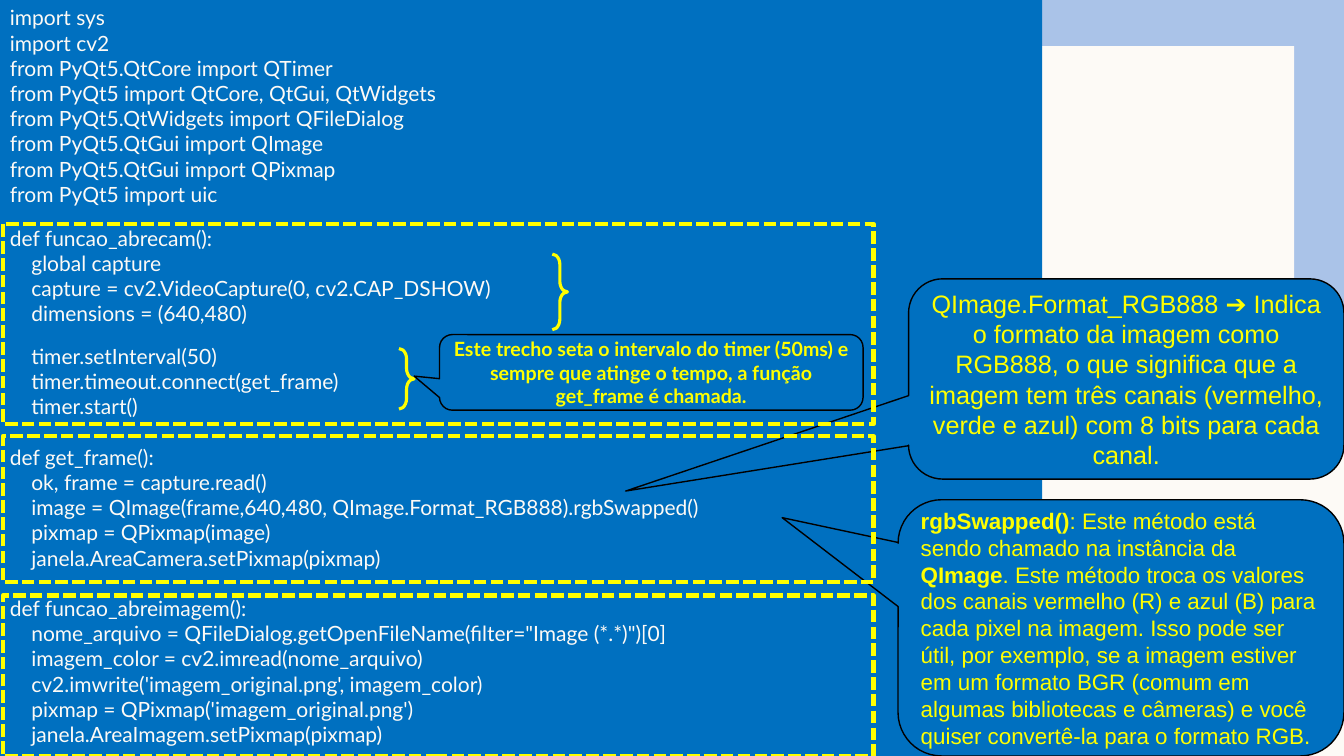
from dataclasses import dataclass, field
from pptx import Presentation
from pptx.dml.color import RGBColor
from pptx.enum.dml import MSO_LINE_DASH_STYLE as Dash
from pptx.enum.shapes import MSO_SHAPE as Kind
from pptx.enum.text import MSO_ANCHOR as Anchor, PP_ALIGN as Align
from pptx.shapes.autoshape import Shape
from pptx.slide import Slide
from pptx.util import Pt

BLUE, CREAM, PALE = "0070C0", "FDFAF6", "AAC3E8"
GOLD, BLACK = "FFFF00", "000000"


@dataclass(frozen=True)
class Line:
    color: str
    width: float
    dash: Dash | None = None


@dataclass(frozen=True)
class Form:
    kind: Kind
    left: float
    top: float
    width: float
    height: float
    fill: str | None = None
    line: Line | None = None
    bends: tuple[float, ...] = ()


@dataclass(frozen=True)
class Style:
    face: str
    size: float
    color: str
    align: Align = Align.LEFT
    anchor: Anchor = Anchor.MIDDLE


@dataclass(frozen=True)
class Block:
    text: str
    gap: float = 0


@dataclass(frozen=True)
class Panel:
    form: Form
    style: Style
    blocks: list[Block] = field(default_factory=list)


def paint(code: str) -> RGBColor:
    return RGBColor.from_string(code)


def draw(slide: Slide, form: Form) -> Shape:
    shape = slide.shapes.add_shape(
        form.kind, Pt(form.left), Pt(form.top), Pt(form.width), Pt(form.height))
    shape.shadow.inherit = False
    for i, bend in enumerate(form.bends):
        shape.adjustments[i] = bend
    if form.fill:
        shape.fill.solid()
        shape.fill.fore_color.rgb = paint(form.fill)
    else:
        shape.fill.background()
    if form.line:
        shape.line.color.rgb = paint(form.line.color)
        shape.line.width = Pt(form.line.width)
        if form.line.dash:
            shape.line.dash_style = form.line.dash
    else:
        shape.line.fill.background()
    return shape


def write(shape: Shape, style: Style, blocks: list[Block]) -> None:
    frame = shape.text_frame
    frame.word_wrap = True
    frame.vertical_anchor = style.anchor
    rows = [(text, block.gap if i == 0 else 0)
            for block in blocks for i, text in enumerate(block.text.split("\n"))]
    for n, (text, gap) in enumerate(rows):
        para = frame.add_paragraph() if n else frame.paragraphs[0]
        para.alignment = style.align
        if gap:
            para.space_before = Pt(gap)
        for i, piece in enumerate(text.split("**")):
            if not piece:
                continue
            run = para.add_run()
            run.text = piece
            looks = {"name": style.face, "size": Pt(style.size), "bold": i % 2 == 1}
            for name, value in looks.items():
                setattr(run.font, name, value)
            run.font.color.rgb = paint(style.color)


CODE = [
    Block("""import sys
import cv2
from PyQt5.QtCore import QTimer
from PyQt5 import QtCore, QtGui, QtWidgets
from PyQt5.QtWidgets import QFileDialog
from PyQt5.QtGui import QImage
from PyQt5.QtGui import QPixmap
from PyQt5 import uic"""),
    Block("""def funcao_abrecam():
    global capture
    capture = cv2.VideoCapture(0, cv2.CAP_DSHOW)
    dimensions = (640,480)""", 13.2),
    Block("""    timer.setInterval(50)
    timer.timeout.connect(get_frame)
    timer.start()""", 12.6),
    Block("""def get_frame():
    ok, frame = capture.read()
    image = QImage(frame,640,480, QImage.Format_RGB888).rgbSwapped()
    pixmap = QPixmap(image)
    janela.AreaCamera.setPixmap(pixmap)""", 18),
    Block("""def funcao_abreimagem():
    nome_arquivo = QFileDialog.getOpenFileName(filter="Image (*.*)")[0]
    imagem_color = cv2.imread(nome_arquivo)
    cv2.imwrite('imagem_original.png', imagem_color)
    pixmap = QPixmap('imagem_original.png')
    janela.AreaImagem.setPixmap(pixmap)""", 18),
]
SWAP = ("**rgbSwapped()**: Este método está sendo chamado na instância da **QImage**. "
        "Este método troca os valores dos canais vermelho (R) e azul (B) para cada pixel "
        "na imagem. Isso pode ser útil, por exemplo, se a imagem estiver em um formato BGR "
        "(comum em algumas bibliotecas e câmeras) e você quiser convertê-la para o formato RGB.")
DEPTH = ("QImage.Format_RGB888 ➔ Indica o formato da imagem como RGB888, o que significa que "
         "a imagem tem três canais (vermelho, verde e azul) com 8 bits para cada canal.")
TIMER = ("**Este trecho seta o intervalo do timer (50ms) e sempre que atinge o tempo, "
         "a função get_frame é chamada.**")

EDGE = Line(BLACK, 1)
DASHED = Line(GOLD, 3, Dash.SQUARE_DOT)
CURVE = Line(GOLD, 2.25)
BUBBLE = Kind.ROUNDED_RECTANGULAR_CALLOUT

ITEMS: list[Form | Panel] = [
    Form(Kind.RECTANGLE, -2, 0, 962, 273, PALE),
    Form(Kind.RECTANGLE, 34.5, 33, 890, 474.5, CREAM),
    Panel(Form(Kind.RECTANGLE, 0, 0, 744.5, 552, BLUE),
          Style("Lato", 15, CREAM, anchor=Anchor.TOP), CODE),
    *(Form(Kind.RIGHT_BRACE, left, top, 10.8, height, line=CURVE, bends=(0.69, 0.5))
      for left, top, height in ((394.5, 181.5, 54), (285, 249, 43.2))),
    Panel(Form(BUBBLE, 641.5, 357, 318.5, 183, BLUE, EDGE, (-0.76, -0.43, 0.17)),
          Style("Arial", 16, GOLD), [Block(SWAP)]),
    Panel(Form(BUBBLE, 649, 199.2, 311, 143, BLUE, EDGE, (-1.15, 0.56, 0.17)),
          Style("Arial", 18, GOLD, Align.CENTER), [Block(DEPTH)]),
    *(Form(Kind.RECTANGLE, 2, top, 622, height, line=DASHED)
      for top, height in ((311.5, 104.4), (159.8, 143.2), (425.3, 114.5))),
    Panel(Form(BUBBLE, 314, 239, 302.5, 54, BLUE, EDGE, (-0.56, 0.05, 0.17)),
          Style("Lato", 14, GOLD, Align.CENTER), [Block(TIMER)]),
]


def main() -> None:
    deck = Presentation()
    deck.slide_width, deck.slide_height = Pt(960), Pt(540)
    slide = deck.slides.add_slide(deck.slide_layouts[6])
    slide.background.fill.solid()
    slide.background.fill.fore_color.rgb = paint(CREAM)
    for item in ITEMS:
        if isinstance(item, Panel):
            write(draw(slide, item.form), item.style, item.blocks)
        else:
            draw(slide, item)
    deck.save("out.pptx")


if __name__ == "__main__":
    main()
